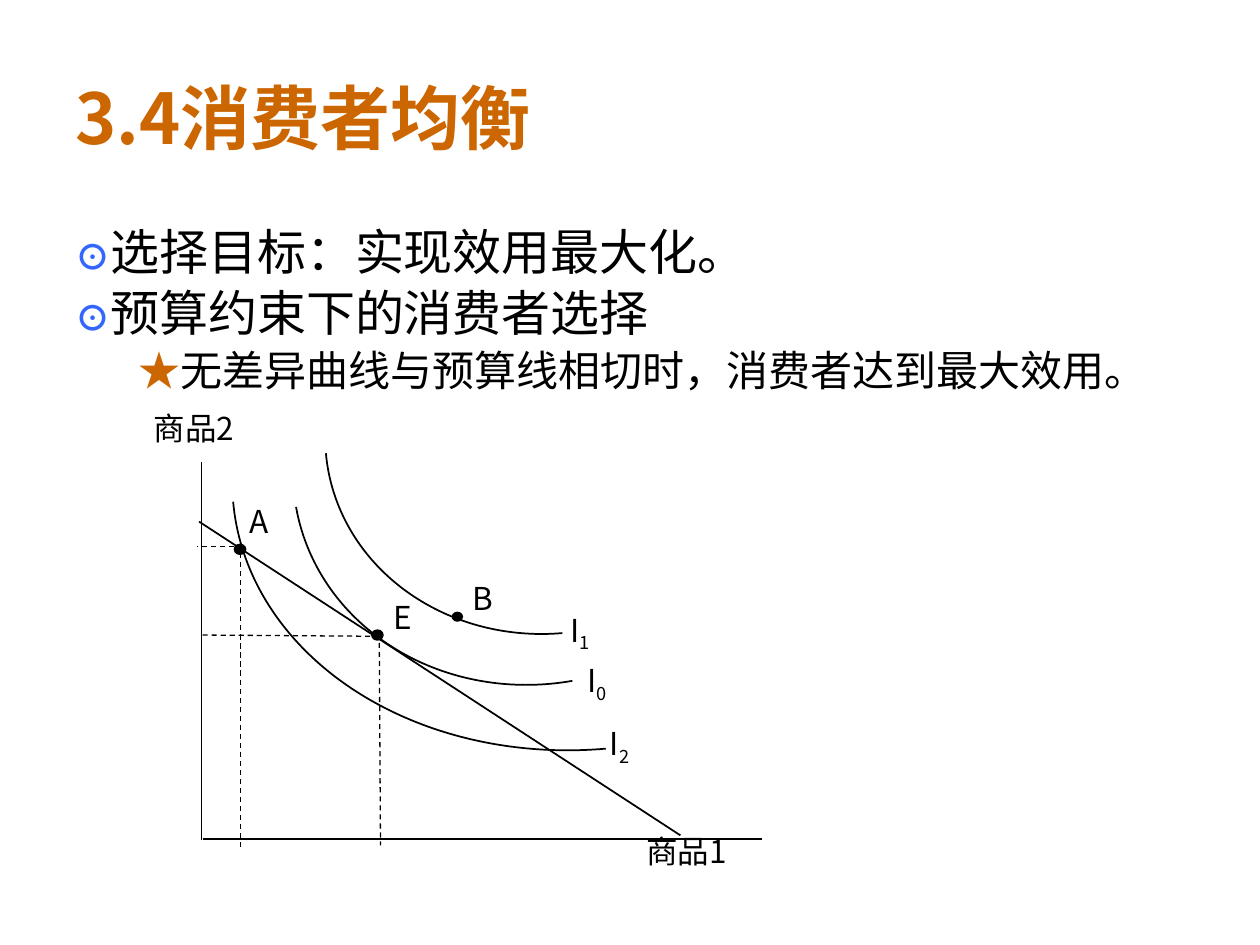
from dataclasses import dataclass
from typing import Any

from lxml.etree import SubElement
from pptx import Presentation
from pptx.dml.color import RGBColor
from pptx.enum.dml import MSO_LINE
from pptx.enum.shapes import MSO_CONNECTOR, MSO_SHAPE
from pptx.enum.text import MSO_ANCHOR, MSO_AUTO_SIZE, PP_ALIGN
from pptx.oxml.ns import qn
from pptx.util import Inches, Pt

BLACK, ORANGE, BLUE = "000000", "CC6600", "3366FF"


def colour(code):
    return RGBColor.from_string(code)


def apply(target, values):
    for name, value in values.items():
        setattr(target, name, value)


@dataclass
class SlideBuilder:
    page: Any
    font: str = "Noto Sans CJK SC"

    def span(self, para, text, size, code=BLACK, bold=False, baseline=0):
        run = para.add_run()
        run.text = text
        apply(run.font, {"name": self.font, "size": Pt(size), "bold": bold})
        run.font.color.rgb = colour(code)
        properties = run.font._element
        SubElement(properties, qn("a:ea")).set("typeface", self.font)
        if baseline:
            properties.set("baseline", str(baseline * 1000))

    def frame(self, box, margins, **extra):
        names = ("margin_left", "margin_top", "margin_right", "margin_bottom")
        values = {name: Inches(gap) for name, gap in zip(names, margins)}
        apply(box.text_frame, {"word_wrap": True, **values, **extra})
        return box.text_frame

    def title(self, text, left, top, width, height):
        box = self.page.shapes.title
        places = {"left": left, "top": top, "width": width, "height": height}
        apply(box, {name: Inches(value) for name, value in places.items()})
        frame = self.frame(box, (0.1, 0.05, 0.1, 0.05),
                           vertical_anchor=MSO_ANCHOR.MIDDLE)
        para = frame.paragraphs[0]
        para.alignment = PP_ALIGN.LEFT
        self.span(para, text, 40, ORANGE, bold=True)

    def textbox(self, left, top, width, height):
        return self.page.shapes.add_textbox(
            Inches(left), Inches(top), Inches(width), Inches(height))

    def body(self, items, left, top, width, height):
        box = self.textbox(left, top, width, height)
        frame = self.frame(box, (0.1, 0.08, 0.1, 0.05))
        for index, (style, text) in enumerate(items):
            para = frame.add_paragraph() if index else frame.paragraphs[0]
            apply(para, {"level": style["level"], "line_spacing": 0.84,
                         "space_before": Pt(style["before"] if index else 0)})
            indent = para._p.get_or_add_pPr()
            indent.set("marL", str(Inches(style["margin"])))
            indent.set("indent", str(Inches(style["hanging"])))
            self.span(para, *style["mark"])
            self.span(para, text, style["size"])

    def label(self, text, left, top, width=0.27, height=0.34, subscript="",
              margins=(0, 0, 0, 0), **extra):
        box = self.textbox(left, top, width, height)
        para = self.frame(box, margins, **extra).paragraphs[0]
        para.line_spacing = 0.9
        self.span(para, text, 18)
        if subscript:
            self.span(para, subscript, 18, baseline=-25)

    def line(self, start, end, width=0.75, dashed=False):
        ends = [Inches(value) for value in (*start, *end)]
        link = self.page.shapes.add_connector(MSO_CONNECTOR.STRAIGHT, *ends)
        link.line.width = Pt(width)
        link.line.color.rgb = colour(BLACK)
        if dashed:
            link.line.dash_style = MSO_LINE.DASH
        SubElement(link._element.spPr, qn("a:effectLst"))

    def shape(self, kind, left, top, width, height, line_width):
        item = self.page.shapes.add_shape(
            kind, Inches(left), Inches(top), Inches(width), Inches(height))
        item.shadow.inherit = False
        item.line.width = Pt(line_width)
        item.line.color.rgb = colour(BLACK)
        return item

    def curve(self, left, top, width, height, rotation):
        arc = self.shape(MSO_SHAPE.ARC, left, top, width, height, 1)
        arc.fill.background()
        arc.rotation = rotation

    def point(self, left, top, width=0.09, height=0.08):
        dot = self.shape(MSO_SHAPE.OVAL, left, top, width, height, 0.75)
        dot.fill.solid()
        dot.fill.fore_color.rgb = colour(BLACK)


def main():
    deck = Presentation()
    deck.slide_width, deck.slide_height = Inches(10), Inches(7.5)
    slide = SlideBuilder(deck.slides.add_slide(deck.slide_layouts[5]))

    # Title and points
    slide.title("3.4消费者均衡", 0.5, 0.3, 9, 1.25)
    main_point = {"level": 0, "margin": 0.38, "hanging": -0.38, "before": 7,
                  "size": 28, "mark": ("⊙", 20, BLUE, True)}
    sub_point = {"level": 1, "margin": 0.81, "hanging": -0.31, "before": 6,
                 "size": 24, "mark": ("★", 24, ORANGE)}
    slide.body([
        (main_point, "选择目标：实现效用最大化。"),
        (main_point, "预算约束下的消费者选择"),
        (sub_point, "无差异曲线与预算线相切时，消费者达到最大效用。"),
    ], 0.5, 1.75, 9, 4.95)

    # Indifference curves I2, I1 and I0
    slide.curve(1.84, 1.53, 5.55, 4.42, 175)
    slide.curve(2.58, 1.86, 3.49, 3.17, 175)
    slide.curve(2.32, 1.95, 3.84, 3.48, 170)

    # Budget line and axes
    slide.line((1.58, 4.14), (5.4, 6.63), width=1)
    slide.line((1.61, 6.66), (6.05, 6.66))
    slide.line((1.6, 6.67), (1.6, 3.67))

    # Dashed guides from E and A to the axes
    for start, end in [((3.01, 5.03), (3.02, 6.71)),
                       ((3.01, 5.05), (1.58, 5.04)),
                       ((1.91, 4.39), (1.91, 6.73)),
                       ((1.93, 4.34), (1.56, 4.34))]:
        slide.line(start, end, dashed=True)

    # Points A, E and B
    slide.point(1.86, 4.32)
    slide.point(2.95, 5)
    slide.point(3.59, 4.86, 0.08, 0.07)

    # Labels of axes, points and curves
    slide.label("商品1", 5.13, 6.64, 0.91, 0.33)
    slide.label("商品2", 1.22, 3.28, 0.91, 0.33)
    slide.label("A", 1.98, 4.02)
    slide.label("E", 3.12, 4.78)
    slide.label("B", 3.65, 4.58, 0.35, 0.4, margins=(0.1, 0.05, 0.1, 0.05),
                word_wrap=False, auto_size=MSO_AUTO_SIZE.SHAPE_TO_FIT_TEXT)
    for number, left, top in [("0", 4.66, 5.25), ("2", 4.84, 5.75),
                              ("1", 4.53, 4.85)]:
        slide.label("I", left, top, subscript=number)

    deck.save("out.pptx")


if __name__ == "__main__":
    main()
